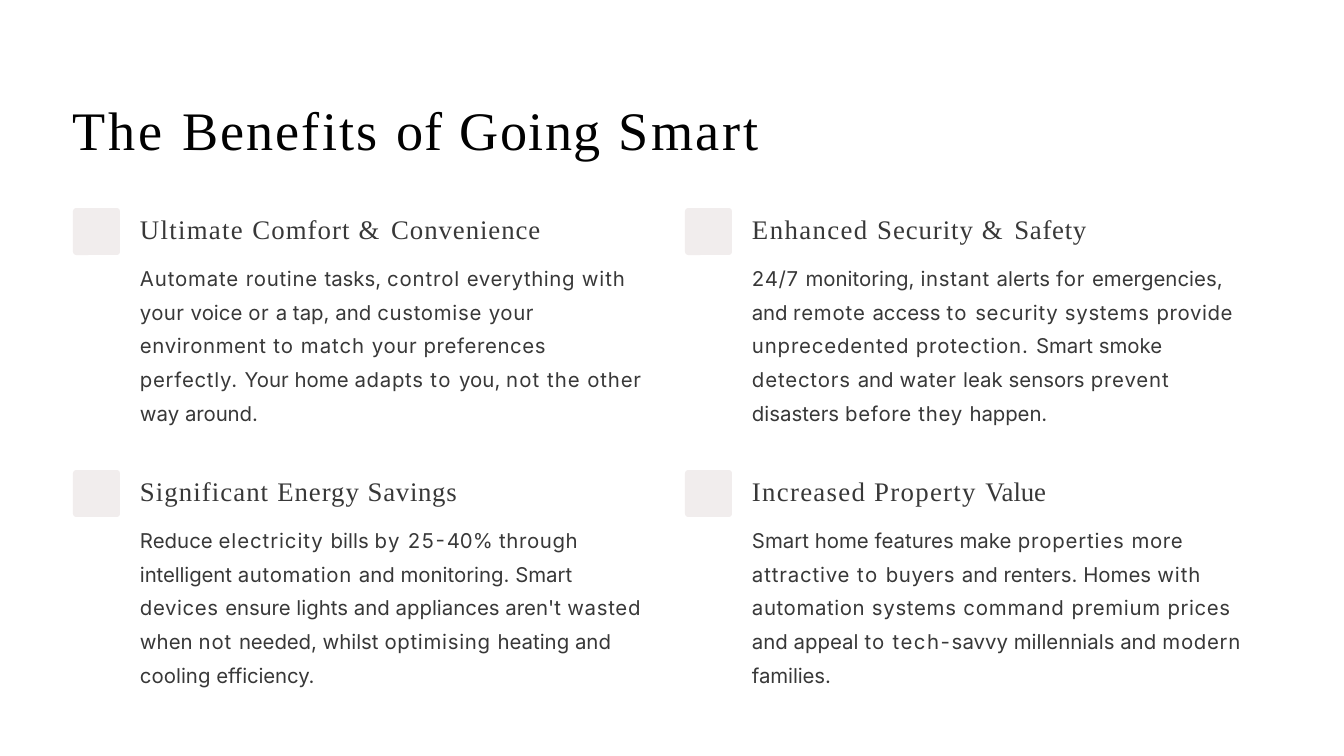
from dataclasses import dataclass

from pptx import Presentation
from pptx.dml.color import RGBColor
from pptx.enum.shapes import MSO_SHAPE
from pptx.util import Emu, Pt

ROUNDED = MSO_SHAPE.ROUNDED_RECTANGLE
EMU_PER_PX = 914400 / 84


@dataclass(frozen=True)
class Theme:
    """Colours, fonts and type sizes of the slide."""
    title_color: RGBColor = RGBColor(0x01, 0x01, 0x01)
    text_color: RGBColor = RGBColor(0x38, 0x38, 0x38)
    tile_color: RGBColor = RGBColor(0xF1, 0xED, 0xED)
    serif: str = "Times New Roman"
    sans: str = "Inter"
    title_size: float = 46.5
    heading_size: float = 23
    body_size: float = 17.5
    body_line_spacing: float = 1.38
    body_gap: float = 9.9
    top_gap: float = 1.1


THEME = Theme()

TITLE = [(2.4, "The "), (1.9, "Benefits "), (1.4, "of Going "), (2.3, "Smart")]

BENEFITS = [
    (
        [(1.1, "Ultimate "), (0.9, "Comfort "), (2.1, "& "), (0.8, "Convenience")],
        [(0.7, "Automate "), (0.6, "routine "), (0, "tasks, "), (0.7, "control "),
         (0.5, "everything "), (0.8, "with "), (0.3, "your "), (0, "voice "),
         (0.5, "or "), (0, "a tap, and "), (0.6, "customise "),
         (0.5, "your environment "), (0.9, "to "), (0.8, "match "),
         (0.5, "your preferences "), (0.6, "perfectly. "), (0, "Your home "),
         (0.6, "adapts "), (1.2, "to "), (0, "you, "), (0.9, "not "),
         (0.8, "the "), (0.7, "other "), (0, "way "), (-0.1, "around.")],
    ),
    (
        [(1.2, "Enhanced "), (0.8, "Security "), (2.1, "& "), (0.6, "Safety")],
        [(0.6, "24/7 "), (0, "monitoring, "), (0.6, "instant "), (0, "alerts "),
         (0.7, "for "), (0, "emergencies, "), (-0.2, "and "), (0.7, "remote "),
         (0, "access "), (1.2, "to "), (0.6, "security systems "),
         (0.5, "provide "), (0.7, "unprecedented protection. "),
         (0, "Smart smoke "), (0.7, "detectors "), (0, "and "), (0.5, "water "),
         (0, "leak sensors "), (0.7, "prevent "), (0, "disasters "),
         (0.6, "before they "), (-0.1, "happen.")],
    ),
    (
        [(0.9, "Significant "), (0.8, "Energy "), (0.6, "Savings")],
        [(0, "Reduce "), (0.8, "electricity "), (0, "bills "), (1.1, "by "),
         (1.4, "25-"), (0, "40%"), (0.5, " through "), (-0.1, "intelligent "),
         (0.6, "automation "), (0, "and monitoring. Smart "), (0.5, "devices "),
         (-0.1, "ensure "), (0, "lights and appliances aren't "),
         (0.6, "wasted "), (0, "when "), (0.8, "not "), (-0.1, "needed, "),
         (0, "whilst "), (0.6, "optimising "), (0, "heating and cooling "),
         (-0.1, "efficiency.")],
    ),
    (
        [(1.1, "Increased Property "), (-0.1, "Value")],
        [(0, "Smart home features make "), (0.7, "properties "), (0.5, "more "),
         (0.7, "attractive "), (1.2, "to "), (0.5, "buyers "),
         (0, "and renters. Homes "), (0.8, "with "), (0.5, "automation "),
         (0.6, "systems "), (0.7, "command "), (0.6, "premium "),
         (0.5, "prices "), (0, "and appeal "), (1, "to "), (1.3, "tech-"),
         (0, "savvy millennials and "), (0.6, "modern "), (-0.1, "families.")],
    ),
]


def px(length):
    """Turn a length in pixels into EMU."""
    return Emu(round(length * EMU_PER_PX))


def add_text_frame(slide, left, top, width, height):
    """Add a wrapping text box without margins and return its text frame."""
    box = slide.shapes.add_textbox(px(left), px(top), px(width), px(height))
    frame = box.text_frame
    frame.word_wrap = True
    frame.margin_left = frame.margin_right = 0
    frame.margin_top = frame.margin_bottom = 0
    return frame


def write_tracked(paragraph, pieces, font_name, size, color, gap):
    """Fill a paragraph with runs that each have their own letter spacing."""
    paragraph.space_before = Pt(gap)
    for tracking, text in pieces:
        run = paragraph.add_run()
        run.text = text
        run.font.name = font_name
        run.font.size = Pt(size)
        run.font.color.rgb = color
        run._r.get_or_add_rPr().set("spc", str(round(tracking * 100)))


def add_title(slide, left, top, width, height):
    """Add the slide title."""
    frame = add_text_frame(slide, left, top, width, height)
    write_tracked(frame.paragraphs[0], TITLE, THEME.serif, THEME.title_size,
                  THEME.title_color, THEME.top_gap)


def add_benefit(slide, left, top, width, height, heading, body):
    """Add a tile with a heading and a body text to its right."""
    tile_size, text_left, text_top = 47, 67, 5
    tile = slide.shapes.add_shape(ROUNDED, px(left), px(top),
                                  px(tile_size), px(tile_size))
    tile.adjustments[0] = 0.07
    tile.shadow.inherit = False
    tile.fill.solid()
    tile.fill.fore_color.rgb = THEME.tile_color
    tile.line.fill.background()

    frame = add_text_frame(slide, left + text_left, top + text_top,
                           width - text_left, height - text_top)
    write_tracked(frame.paragraphs[0], heading, THEME.serif,
                  THEME.heading_size, THEME.text_color, THEME.top_gap)
    paragraph = frame.add_paragraph()
    paragraph.line_spacing = THEME.body_line_spacing
    write_tracked(paragraph, body, THEME.sans, THEME.body_size,
                  THEME.text_color, THEME.body_gap)


def add_benefit_grid(slide, left, top, width, height):
    """Place the benefits in two columns and two rows."""
    column_gap, row_gap = 37, 76
    card_width = (width - column_gap) // 2
    card_height = (height - row_gap) // 2
    for index, (heading, body) in enumerate(BENEFITS):
        row, column = divmod(index, 2)
        add_benefit(slide, left + column * (card_width + column_gap),
                    top + row * (card_height + row_gap),
                    card_width, card_height, heading, body)


def main():
    """Build and save the presentation."""
    presentation = Presentation()
    presentation.slide_width = px(1344)
    presentation.slide_height = px(756)
    slide = presentation.slides.add_slide(presentation.slide_layouts[6])
    add_title(slide, 73, 96, 1055, 66)
    add_benefit_grid(slide, 73, 208, 1187, 448)
    presentation.save("out.pptx")


if __name__ == "__main__":
    main()
